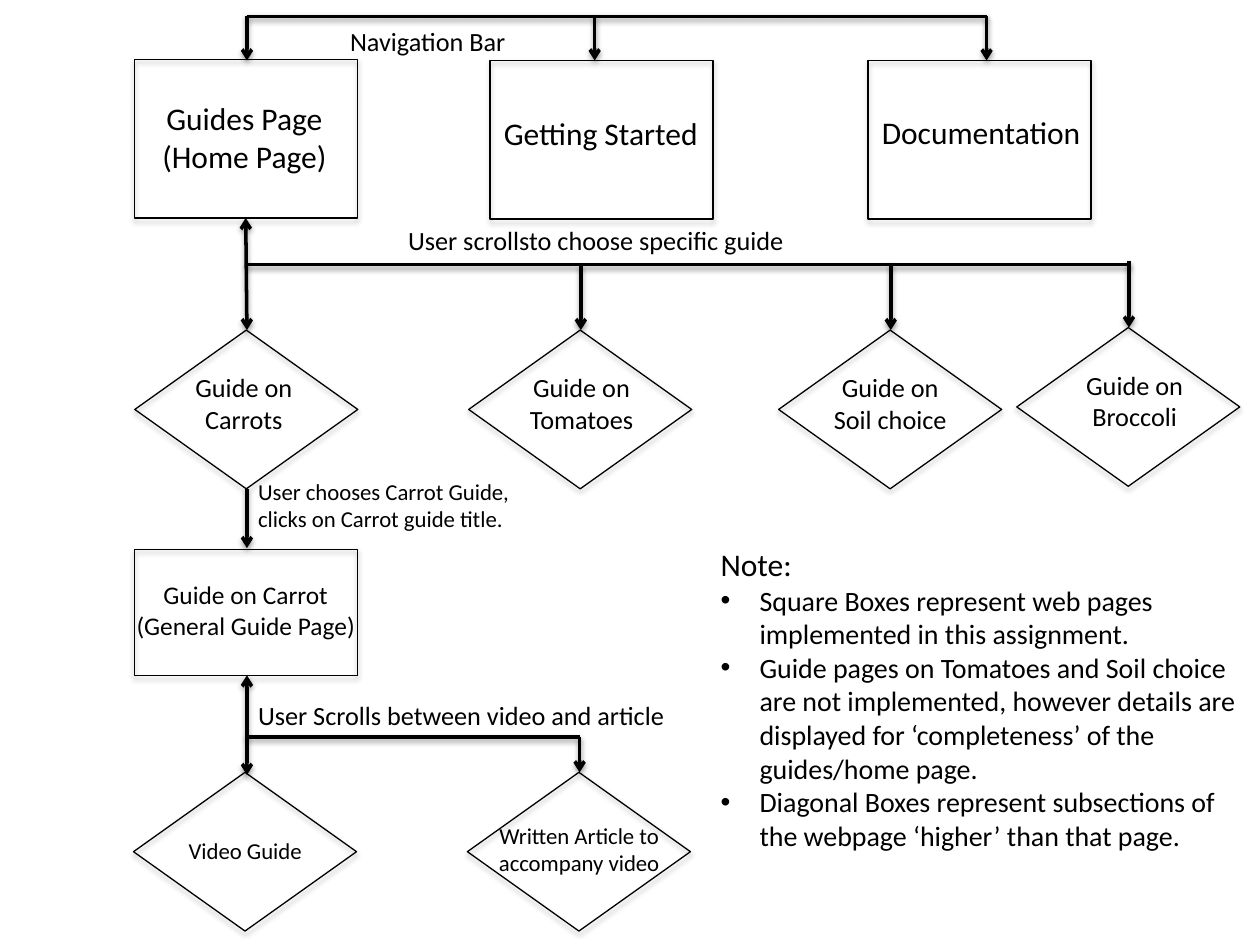
from dataclasses import dataclass

from lxml.etree import SubElement
from pptx import Presentation
from pptx.dml.color import RGBColor
from pptx.enum.shapes import MSO_CONNECTOR, MSO_SHAPE
from pptx.enum.text import MSO_AUTO_SIZE, PP_ALIGN
from pptx.oxml.ns import qn
from pptx.util import Inches, Pt


@dataclass(frozen=True)
class Theme:
    ink: RGBColor = RGBColor(0, 0, 0)
    font: str = "Calibri"
    title: float = 18
    note: float = 16
    body: float = 15
    page: float = 14.5
    small: float = 13
    outline: float = 0.75
    arrow: float = 2
    node_w: float = 1.77
    node_h: float = 1.26


class FlowChart:
    """Draws the parts of a site map on one slide in one theme."""

    def __init__(self, slide, theme):
        self.slide = slide
        self.theme = theme

    def shadow(self, sp, distance, opacity):
        sp_pr = sp._element.spPr
        effects = sp_pr.find(qn("a:effectLst"))
        if effects is None:
            effects = SubElement(sp_pr, qn("a:effectLst"))
        outer = SubElement(effects, qn("a:outerShdw"), blurRad=str(Pt(3.1)),
                           dist=str(Pt(distance)), dir="5400000", rotWithShape="0")
        color = SubElement(outer, qn("a:srgbClr"), val=str(self.theme.ink))
        SubElement(color, qn("a:alpha"), val=str(opacity * 1000))

    def node(self, kind, x, y, h=None):
        t = self.theme
        sp = self.slide.shapes.add_shape(kind, Inches(x), Inches(y), Inches(t.node_w),
                                         Inches(h or t.node_h))
        sp.fill.background()
        sp.line.color.rgb = t.ink
        sp.line.width = Pt(t.outline)
        sp.shadow.inherit = False
        self.shadow(sp, 1.8, 35)

    def line(self, x1, y1, x2, y2, *ends):
        c = self.slide.shapes.add_connector(MSO_CONNECTOR.STRAIGHT, Inches(x1), Inches(y1),
                                            Inches(x2), Inches(y2))
        c.line.color.rgb = self.theme.ink
        c.line.width = Pt(self.theme.arrow)
        for end in ends:
            SubElement(c.line._get_or_add_ln(), qn(f"a:{end}"), type="arrow")
        self.shadow(c, 1.6, 38)

    def frame(self, x, y, w, h, wrap):
        tf = self.slide.shapes.add_textbox(Inches(x), Inches(y), Inches(w), Inches(h)).text_frame
        tf.word_wrap = wrap
        tf.auto_size = MSO_AUTO_SIZE.SHAPE_TO_FIT_TEXT
        return tf

    def set_text(self, p, text, size, align=PP_ALIGN.LEFT):
        p.text = text
        p.alignment = align
        p.font.name = self.theme.font
        p.font.size = Pt(size)
        p.font.color.rgb = self.theme.ink

    def label(self, x, y, w, h, text, size, align=PP_ALIGN.LEFT, wrap=False):
        self.set_text(self.frame(x, y, w, h, wrap).paragraphs[0], text, size, align)

    def notes(self, x, y, w, h, heading, items):
        tf = self.frame(x, y, w, h, True)
        self.set_text(tf.paragraphs[0], heading, self.theme.title)
        for item in items:
            p = tf.add_paragraph()
            self.set_text(p, item, self.theme.note)
            p_pr = p._p.get_or_add_pPr()
            p_pr.set("marL", str(Inches(0.31)))
            p_pr.set("indent", str(-Inches(0.31)))
            bullet_font = SubElement(p_pr, qn("a:buFont"), typeface="Arial")
            bullet = SubElement(p_pr, qn("a:buChar"), char="•")
            p_pr.insert(0, bullet_font)
            p_pr.insert(1, bullet)


def main():
    prs = Presentation()
    prs.slide_width, prs.slide_height = Inches(10), Inches(7.5)
    theme = Theme()
    chart = FlowChart(prs.slides.add_slide(prs.slide_layouts[6]), theme)
    center, trunk = PP_ALIGN.CENTER, 1.96

    for x, y in ((1.07, 0.47), (3.89, 0.48), (6.89, 0.48)):
        chart.node(MSO_SHAPE.RECTANGLE, x, y)
    chart.label(1.04, 0.74, 1.8, 0.71, "Guides Page\n(Home Page)", theme.title, center, True)
    chart.label(3.9, 0.86, 1.76, 0.4, "Getting Started", theme.title)
    chart.label(6.9, 0.85, 1.8, 0.4, "Documentation", theme.title, wrap=True)
    chart.line(trunk, 0.13, 7.83, 0.13)
    for x in (trunk, 4.72, 7.83):
        chart.line(x, 0.13, x, 0.48, "tailEnd")
    chart.label(2.68, 0.15, 1.46, 0.35, "Navigation Bar", theme.body)

    guides = (("Carrots", 1.07, 2.62, 1.34), ("Tomatoes", 3.72, 2.62, 4.02),
              ("Soil choice", 6.18, 2.62, 6.47), ("Broccoli", 8.07, 2.6, 8.41))
    for name, x, y, text_x in guides:
        chart.node(MSO_SHAPE.DIAMOND, x, y)
        chart.label(text_x, y + 0.28, 1.19, 0.61, f"Guide on {name}", theme.body, center, True)
    chart.line(1.95, 2.1, 8.97, 2.1)
    chart.line(1.95, 1.73, trunk, 2.62, "headEnd", "tailEnd")
    for x, top, bottom in ((4.61, 2.1, 2.62), (7.07, 2.09, 2.62), (8.96, 2.07, 2.6)):
        chart.line(x, top, x, bottom, "tailEnd")
    chart.label(3.14, 1.73, 3.22, 0.35, "User scrollsto choose specific guide", theme.body)

    chart.line(trunk, 3.88, trunk, 4.35, "tailEnd")
    chart.label(1.95, 3.74, 2.49, 0.54,
                "User chooses Carrot Guide, clicks on Carrot guide title.", theme.small, wrap=True)
    chart.node(MSO_SHAPE.RECTANGLE, 1.07, 4.36, 1)
    chart.label(0.97, 4.55, 1.96, 0.59, "Guide on Carrot\n(General Guide Page)",
                theme.page, center)

    chart.line(trunk, 5.36, trunk, 6.15, "headEnd", "tailEnd")
    chart.line(1.95, 5.85, 4.6, 5.85)
    chart.line(4.6, 5.85, 4.6, 6.13, "tailEnd")
    chart.label(1.95, 5.5, 3.46, 0.35, "User Scrolls between video and article", theme.body)
    for x in (1.06, 3.71):
        chart.node(MSO_SHAPE.DIAMOND, x, 6.13)
    chart.label(1.39, 6.59, 1.11, 0.32, "Video Guide", theme.small, center)
    chart.label(3.85, 6.47, 1.49, 0.54, "Written Article to\naccompany video",
                theme.small, center)

    chart.notes(5.62, 4.28, 4.41, 2.56, "Note:", (
        "Square Boxes represent web pages implemented in this assignment.",
        "Guide pages on Tomatoes and Soil choice are not implemented, however details are "
        "displayed for ‘completeness’ of the guides/home page.",
        "Diagonal Boxes represent subsections of the webpage ‘higher’ than that page.",
    ))
    prs.save("out.pptx")


if __name__ == "__main__":
    main()
